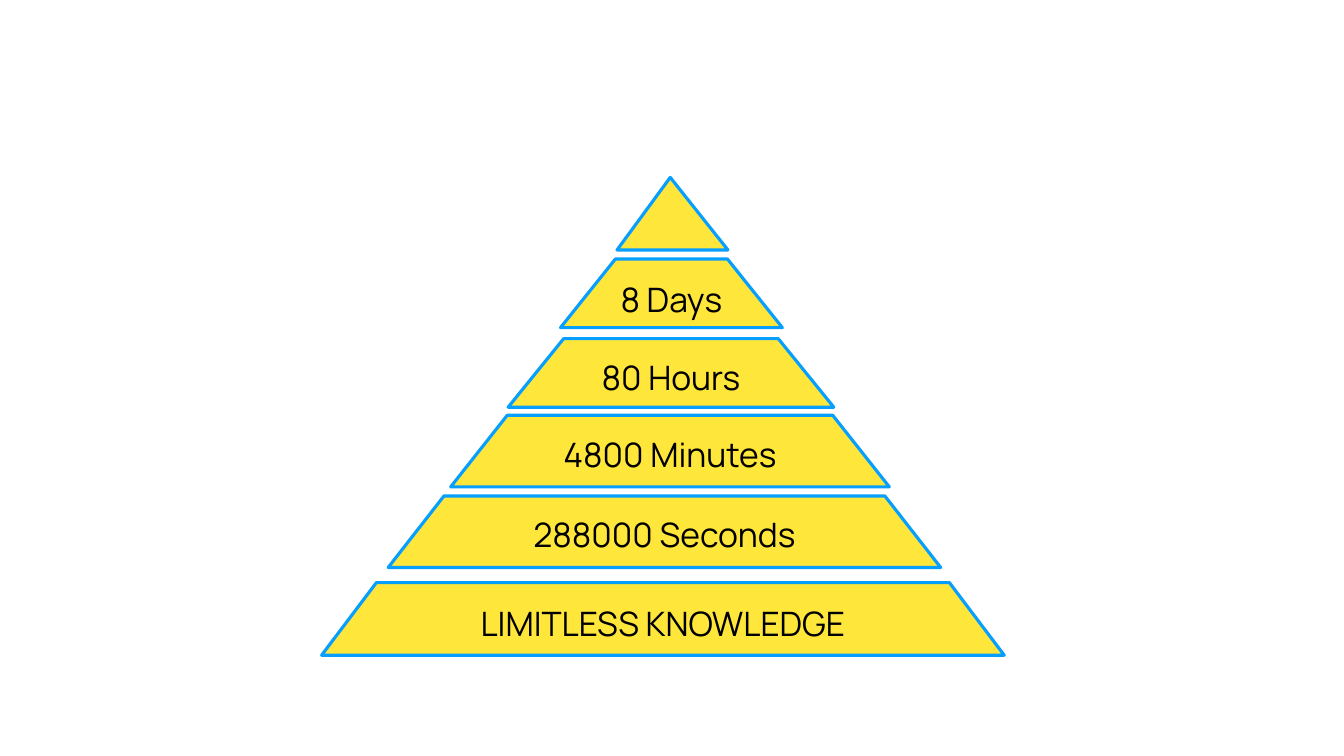
from dataclasses import dataclass

from pptx import Presentation
from pptx.dml.color import RGBColor
from pptx.enum.shapes import MSO_SHAPE
from pptx.enum.text import MSO_ANCHOR, PP_ALIGN
from pptx.util import Inches, Pt


@dataclass(frozen=True)
class Theme:
    fill: RGBColor = RGBColor(0xFF, 0xE6, 0x3B)
    outline: RGBColor = RGBColor(0x07, 0x9F, 0xFF)
    ink: RGBColor = RGBColor(0, 0, 0)
    outline_width: Pt = Pt(2.25)
    label_size: Pt = Pt(24)
    font: str = "Manrope"


THEME = Theme()

TIERS = [
    ("288000 Seconds", (3.85, 4.92, 5.48, 0.71), 0.78, 1.0),
    ("4800 Minutes", (4.47, 4.12, 4.35, 0.71), 0.79, 1.0),
    ("80 Hours", (5.04, 3.36, 3.23, 0.68), 0.81, 1.0),
    ("8 Days", (5.56, 2.57, 2.2, 0.68), 0.8, 1.0),
    ("LIMITLESS KNOWLEDGE", (3.19, 5.78, 6.77, 0.72), 0.755, 1.1),
]
PEAK_BOX = (6.12, 1.76, 1.1, 0.72)
PEAK_POSITION = 0.48


def add_block(slide, preset, box, adjustment):
    block = slide.shapes.add_shape(preset, *map(Inches, box))
    block.adjustments[0] = adjustment
    block.shadow.inherit = False
    block.fill.solid()
    block.fill.fore_color.rgb = THEME.fill
    block.line.color.rgb = THEME.outline
    block.line.width = THEME.outline_width
    return block


def add_label(block, wording, line_spacing):
    frame = block.text_frame
    frame.word_wrap = True
    frame.vertical_anchor = MSO_ANCHOR.MIDDLE
    label = frame.paragraphs[0]
    label.alignment = PP_ALIGN.CENTER
    label.line_spacing = line_spacing
    run = label.add_run()
    run.text = wording
    for attribute, value in {"name": THEME.font, "size": THEME.label_size}.items():
        setattr(run.font, attribute, value)
    run.font.color.rgb = THEME.ink


def add_tier(slide, wording, box, slant, line_spacing):
    tier = add_block(slide, MSO_SHAPE.TRAPEZOID, box, slant)
    add_label(tier, wording, line_spacing)


def main():
    deck = Presentation()
    deck.slide_width = Inches(13.33)
    deck.slide_height = Inches(7.5)
    slide = deck.slides.add_slide(deck.slide_layouts[6])
    for tier in TIERS:
        add_tier(slide, *tier)
    add_block(slide, MSO_SHAPE.ISOSCELES_TRIANGLE, PEAK_BOX, PEAK_POSITION)
    deck.save("out.pptx")


if __name__ == "__main__":
    main()
